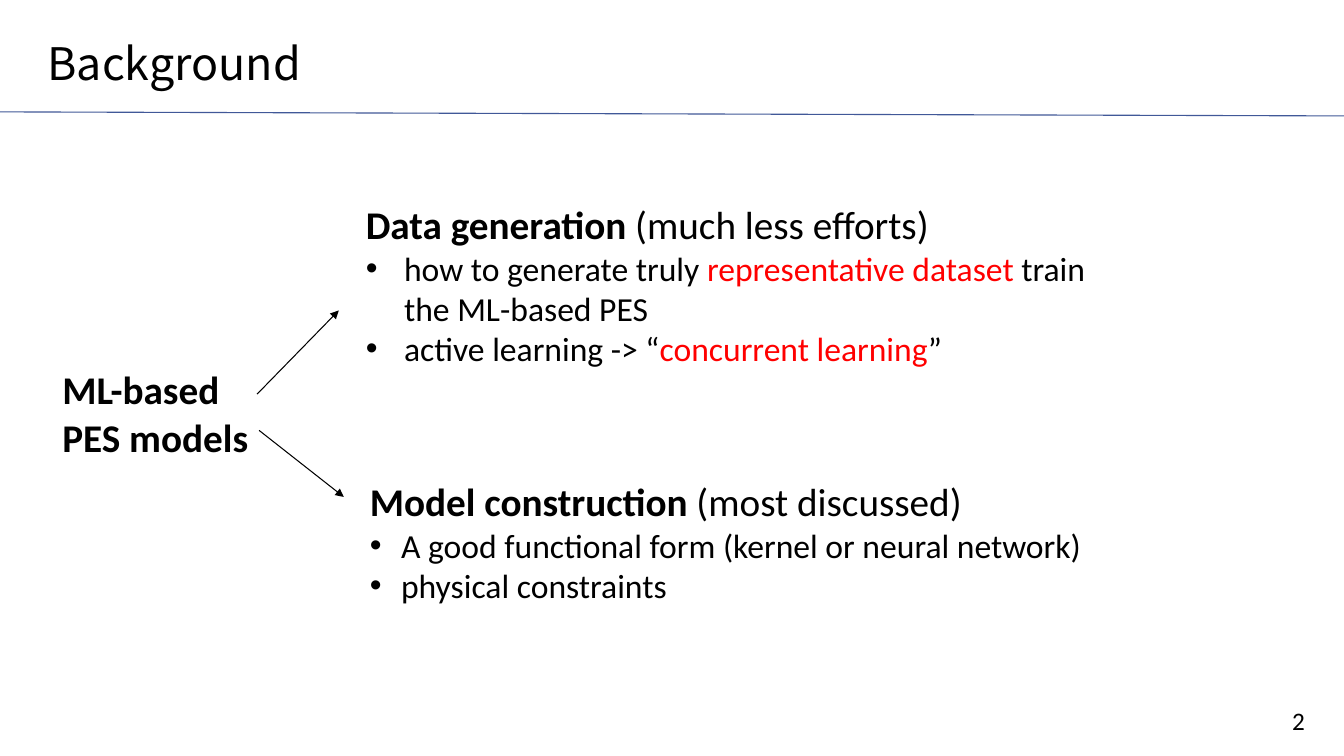
from dataclasses import dataclass

from lxml import etree
from pptx import Presentation
from pptx import util as u
from pptx.dml.color import RGBColor
from pptx.enum import shapes, text
from pptx.oxml.ns import qn

PX = 9144


@dataclass(frozen=True)
class Theme:
    body: str = "Calibri"
    title: str = "Noto Sans CJK SC"
    ink: str = "000000"
    accent: str = "FF0000"
    rule: str = "415898"
    title_size: int = 32
    head_size: int = 28
    item_size: int = 24
    number_size: int = 18


T = Theme()


def px(n):
    return u.Emu(n * PX)


def add_run(p, content, size=T.head_size, bold=False, color=T.ink, font=T.body):
    r = p.add_run()
    r.text = content
    r.font.name, r.font.size, r.font.bold = font, u.Pt(size), bold
    r.font.color.rgb = RGBColor.from_string(color)


def add_box(s, box, wrap=True, grow=True):
    tf = s.shapes.add_textbox(*map(px, box)).text_frame
    tf.word_wrap = wrap
    if grow:
        tf.auto_size = text.MSO_AUTO_SIZE.SHAPE_TO_FIT_TEXT
    return tf


def add_bullet(p, indent):
    pPr = p._p.get_or_add_pPr()
    pPr.set("marL", str(px(indent)))
    pPr.set("indent", str(-px(indent)))
    etree.SubElement(pPr, qn("a:buFont")).set("typeface", "Arial")
    etree.SubElement(pPr, qn("a:buChar")).set("char", "•")


def add_line(s, start, end, color=T.ink, width=0.75, arrow=False):
    sp = s.shapes.add_connector(shapes.MSO_CONNECTOR.STRAIGHT, *map(px, start + end))
    sp.line.color.rgb = RGBColor.from_string(color)
    sp.line.width = u.Pt(width)
    if arrow:
        etree.SubElement(sp.line._get_or_add_ln(), qn("a:tailEnd")).set("type", "triangle")
    etree.SubElement(sp._element.spPr, qn("a:effectLst"))


def header(s, box, title):
    sp = s.shapes.title
    sp.left, sp.top, sp.width, sp.height = map(px, box)
    tf = sp.text_frame
    tf.vertical_anchor = text.MSO_ANCHOR.TOP
    tf.auto_size = text.MSO_AUTO_SIZE.NONE
    p = tf.paragraphs[0]
    p.alignment = text.PP_ALIGN.LEFT
    p.line_spacing = 0.9
    add_run(p, title, T.title_size, font=T.title)
    bottom = box[1] + box[3]
    add_line(s, (1333, bottom), (0, bottom - 4), T.rule, 0.78)


def page_number(s, box, number):
    tf = add_box(s, box, grow=False)
    tf.vertical_anchor = text.MSO_ANCHOR.MIDDLE
    p = tf.paragraphs[0]
    p.alignment = text.PP_ALIGN.RIGHT
    add_run(p, number, T.number_size)


def root_label(s, box, lines):
    tf = add_box(s, box, wrap=False)
    for i, line in enumerate(lines):
        p = tf.add_paragraph() if i else tf.paragraphs[0]
        add_run(p, line, bold=True)


def branch(s, box, head, remark, items, indent, wrap=True):
    tf = add_box(s, box, wrap)
    p = tf.paragraphs[0]
    add_run(p, head, bold=True)
    add_run(p, remark)
    for item in items:
        p = tf.add_paragraph()
        add_bullet(p, indent)
        for content, color in item:
            add_run(p, content, T.item_size, color=color)


def main():
    prs = Presentation()
    prs.slide_width, prs.slide_height = px(1333), px(750)
    s = prs.slides.add_slide(prs.slide_layouts[5])
    header(s, (37, 36, 961, 79), "Background")
    page_number(s, (993, 695, 311, 40), "2")
    root_label(s, (52, 358, 206, 104), ["ML-based", "PES models"])
    branch(s, (353, 194, 754, 178), "Data generation ", "(much less efforts)", [
        [("how to generate truly ", T.ink), ("representative dataset ", T.accent),
         ("train the ML-based PES", T.ink)],
        [("active learning -> “", T.ink), ("concurrent learning", T.accent), ("”", T.ink)],
    ], indent=38)
    branch(s, (357, 469, 733, 138), "Model construction ", "(most discussed)", [
        [("A good functional form (kernel or neural network)", T.ink)],
        [("physical constraints", T.ink)],
    ], indent=31, wrap=False)
    for start, end in (((255, 391), (336, 308)), ((257, 427), (341, 493))):
        add_line(s, start, end, arrow=True)
    prs.save("out.pptx")


if __name__ == "__main__":
    main()
